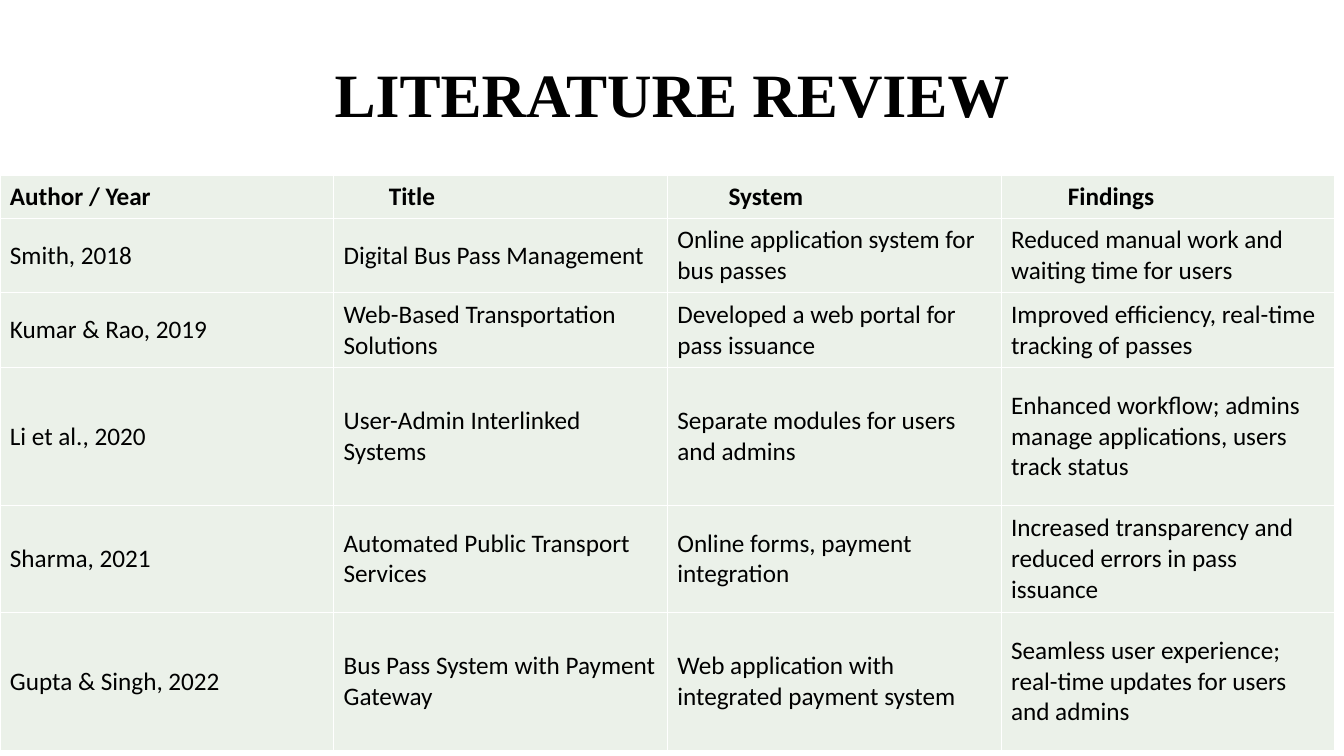
from lxml.etree import SubElement
from pptx import Presentation
from pptx.dml.color import RGBColor
from pptx.enum.text import MSO_ANCHOR, PP_ALIGN
from pptx.oxml.ns import qn
from pptx.util import Cm, Pt

BLACK = RGBColor(0x00, 0x00, 0x00)
WHITE = RGBColor(0xFF, 0xFF, 0xFF)
PALE_GREEN = RGBColor(0xEB, 0xF1, 0xE9)

COLUMN_WIDTH = 8.41
ROW_HEIGHTS = [1.07, 1.88, 1.88, 3.48, 2.69, 3.48]
CELL_MARGIN = 0.25
HEADING_INDENTS = [0, 1.14, 1.29, 1.43]

STUDIES = [
    ["Author / Year", "Title", "System", "Findings"],
    ["Smith, 2018", "Digital Bus Pass Management",
     "Online application system for bus passes",
     "Reduced manual work and waiting time for users"],
    ["Kumar & Rao, 2019", "Web-Based Transportation Solutions",
     "Developed a web portal for pass issuance",
     "Improved efficiency, real-time tracking of passes"],
    ["Li et al., 2020", "User-Admin Interlinked Systems",
     "Separate modules for users and admins",
     "Enhanced workflow; admins manage applications, users track status"],
    ["Sharma, 2021", "Automated Public Transport Services",
     "Online forms, payment integration",
     "Increased transparency and reduced errors in pass issuance"],
    ["Gupta & Singh, 2022", "Bus Pass System with Payment Gateway",
     "Web application with integrated payment system",
     "Seamless user experience; real-time updates for users and admins"],
]


def add_run(paragraph, text, font_name, size, bold):
    run = paragraph.add_run()
    run.text = text
    run.font.name = font_name
    run.font.size = Pt(size)
    run.font.bold = bold
    run.font.color.rgb = BLACK


def add_title(slide, text):
    title = slide.shapes.add_textbox(Cm(2.34), Cm(1.02), Cm(29.21), Cm(2.9))
    frame = title.text_frame
    frame.word_wrap = True
    frame.vertical_anchor = MSO_ANCHOR.MIDDLE
    paragraph = frame.paragraphs[0]
    paragraph.alignment = PP_ALIGN.CENTER
    paragraph.line_spacing = 0.9
    add_run(paragraph, text, "Times New Roman", 44, True)


def set_borders(cell, color, width):
    properties = cell._tc.get_or_add_tcPr()
    for position, side in enumerate(("a:lnL", "a:lnR", "a:lnT", "a:lnB")):
        border = SubElement(properties, qn(side), w=str(Pt(width)))
        fill = SubElement(border, qn("a:solidFill"))
        SubElement(fill, qn("a:srgbClr"), val=str(color))
        properties.insert(position, border)


def fill_cell(cell, text, bold, indent):
    cell.fill.solid()
    cell.fill.fore_color.rgb = PALE_GREEN
    set_borders(cell, WHITE, 1)
    cell.vertical_anchor = MSO_ANCHOR.MIDDLE
    cell.margin_left = Cm(CELL_MARGIN + indent)
    add_run(cell.text_frame.paragraphs[0], text, "Calibri", 18, bold)


def add_review_table(slide, studies):
    column_count = len(studies[0])
    review = slide.shapes.add_table(
        len(studies), column_count, Cm(0), Cm(4.43),
        Cm(COLUMN_WIDTH * column_count), Cm(sum(ROW_HEIGHTS))).table
    review.first_row = False
    review.horz_banding = False
    for column in review.columns:
        column.width = Cm(COLUMN_WIDTH)
    for row, height in zip(review.rows, ROW_HEIGHTS):
        row.height = Cm(height)
    for row_index, study in enumerate(studies):
        is_heading = row_index == 0
        for column_index, text in enumerate(study):
            indent = HEADING_INDENTS[column_index] if is_heading else 0
            fill_cell(review.cell(row_index, column_index), text, is_heading, indent)


def main():
    presentation = Presentation()
    presentation.slide_width = Cm(33.87)
    presentation.slide_height = Cm(19.05)
    slide = presentation.slides.add_slide(presentation.slide_layouts[6])
    add_title(slide, "LITERATURE REVIEW")
    add_review_table(slide, STUDIES)
    presentation.save("out.pptx")


if __name__ == "__main__":
    main()
